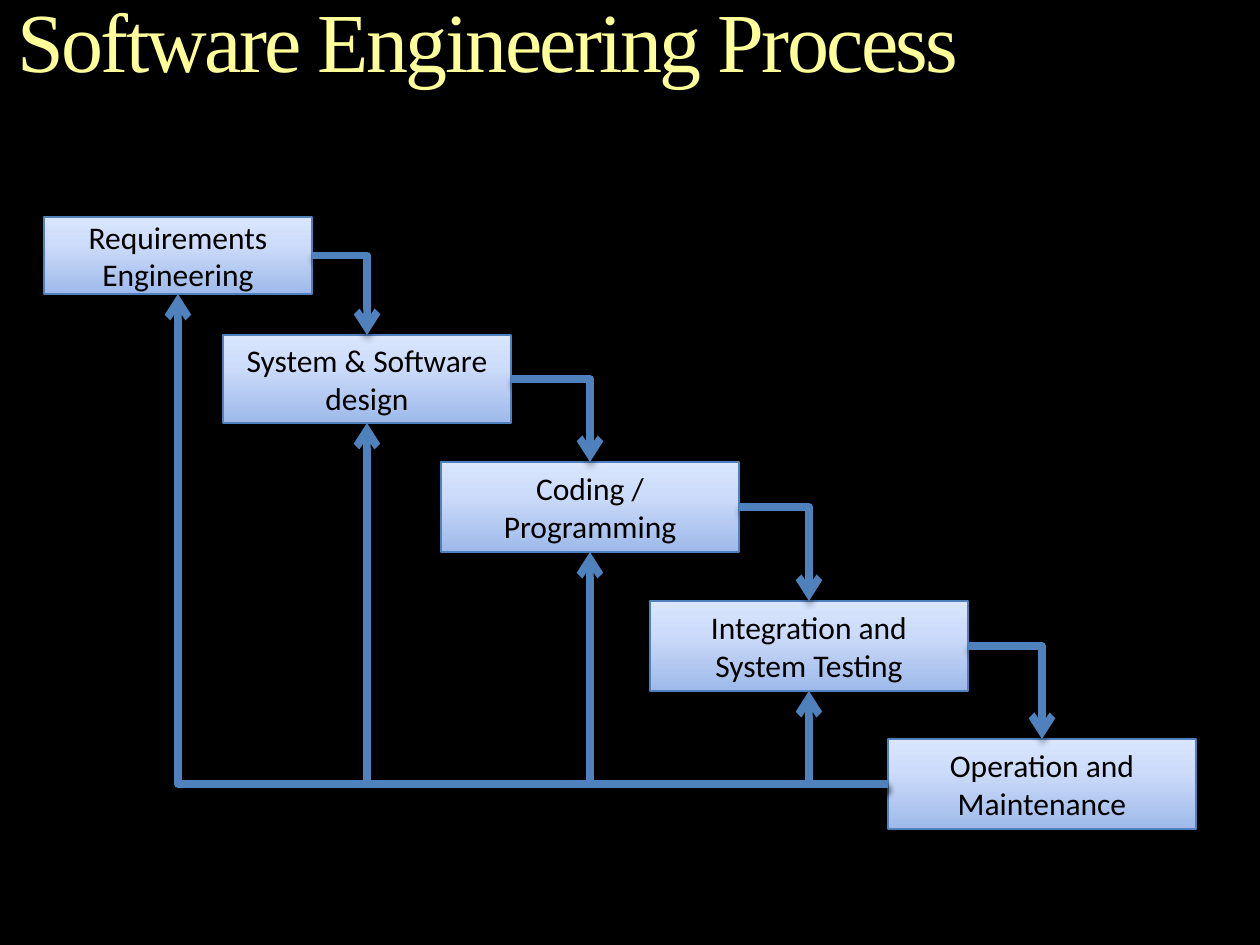
"""Build the Software Engineering Process slide: a waterfall with feedback arrows."""
from lxml import etree
from pptx import Presentation
from pptx.dml.color import RGBColor
from pptx.enum.shapes import MSO_CONNECTOR, MSO_SHAPE
from pptx.enum.text import MSO_ANCHOR, MSO_AUTO_SIZE, PP_ALIGN
from pptx.oxml import parse_xml
from pptx.oxml.ns import qn
from pptx.util import Pt

RECT = MSO_SHAPE.RECTANGLE
ELBOW = MSO_CONNECTOR.ELBOW
TOP, MIDDLE = MSO_ANCHOR.TOP, MSO_ANCHOR.MIDDLE
CENTER = PP_ALIGN.CENTER
NO_FIT = MSO_AUTO_SIZE.NONE
NS = "http://schemas.openxmlformats.org/drawingml/2006/main"

TITLE = "Software Engineering Process"
TITLE_BOX = (-84, 0, 1144, 125)
STEPS = [
    ("Requirements Engineering", (44, 217, 268, 77)),
    ("System & Software design", (223, 335, 288, 88)),
    ("Coding / Programming", (441, 462, 298, 90)),
    ("Integration and System Testing", (650, 601, 318, 90)),
    ("Operation and Maintenance", (888, 739, 308, 90)),
]
COLORS = {"back": "000000", "title": "FFFF99", "text": "000000",
          "line": "4F81BD", "shade": "000000"}
STOPS = [(0, "9EB9EA"), (65, "CDDCFA"), (100, "D9E6FE")]
FONTS = {
    "title": {"name": "Times New Roman", "size": Pt(48), "bold": False},
    "text": {"name": "Calibri", "size": Pt(18), "bold": False},
}
INSETS = ("margin_left", "margin_top", "margin_right", "margin_bottom")
TOP_SIDE, LEFT_SIDE, BOTTOM_SIDE, RIGHT_SIDE = range(4)


def px(n):
    return round(n * 914400 / 126)


def rgb(key):
    return RGBColor.from_string(COLORS[key])


def write(frame, text, kind, anchor):
    frame.word_wrap = True
    frame.vertical_anchor = anchor
    para = frame.paragraphs[0]
    para.alignment = CENTER
    run = para.add_run()
    run.text = text
    for name, value in FONTS[kind].items():
        setattr(run.font, name, value)
    run.font.color.rgb = rgb(kind)
    return para, run


def shade(shape):
    shape._element.spPr.append(parse_xml(
        f'<a:effectLst xmlns:a="{NS}"><a:outerShdw blurRad="{Pt(4)}" '
        f'dist="{Pt(3)}" dir="5400000" rotWithShape="0">'
        f'<a:srgbClr val="{COLORS["shade"]}"><a:alpha val="35000"/>'
        '</a:srgbClr></a:outerShdw></a:effectLst>'))


def blend(shape):
    shape.fill.gradient()
    shape.fill.gradient_angle = 90
    stops = shape._element.spPr.find(".//" + qn("a:gsLst"))
    for old in list(stops):
        stops.remove(old)
    for place, color in STOPS:
        stop = etree.SubElement(stops, qn("a:gs"), pos=str(place * 1000))
        etree.SubElement(stop, qn("a:srgbClr"), val=color)


def add_title(slide):
    title = slide.shapes.title
    title.left, title.top, title.width, title.height = map(px, TITLE_BOX)
    frame = title.text_frame
    frame.auto_size = NO_FIT
    for inset in INSETS:
        setattr(frame, inset, 0)
    para, run = write(frame, TITLE, "title", TOP)
    para.line_spacing = 0.9
    run.font._element.set("spc", "-150")


def add_step(slide, text, place):
    box = slide.shapes.add_shape(RECT, *map(px, place))
    blend(box)
    box.line.color.rgb = rgb("line")
    box.line.width = Pt(0.75)
    shade(box)
    write(box.text_frame, text, "text", MIDDLE)
    return box


def join(slide, start, side, end, goal):
    link = slide.shapes.add_connector(ELBOW, 0, 0, 0, 0)
    link.begin_connect(start, side)
    link.end_connect(end, goal)
    link._element.spPr.find(qn("a:prstGeom")).set("prst", "bentConnector2")
    link.line.color.rgb = rgb("line")
    link.line.width = Pt(4.33)
    etree.SubElement(link.line._get_or_add_ln(), qn("a:tailEnd"), type="arrow")
    shade(link)


def main():
    deck = Presentation()
    deck.slide_width, deck.slide_height = px(1260), px(945)
    slide = deck.slides.add_slide(deck.slide_layouts[5])
    back = slide.background.fill
    back.solid()
    back.fore_color.rgb = rgb("back")
    add_title(slide)
    boxes = [add_step(slide, *step) for step in STEPS]
    for box, after in zip(boxes, boxes[1:]):
        join(slide, box, RIGHT_SIDE, after, TOP_SIDE)
    for box in reversed(boxes[:-1]):
        join(slide, boxes[-1], LEFT_SIDE, box, BOTTOM_SIDE)
    deck.save("out.pptx")


if __name__ == "__main__":
    main()
